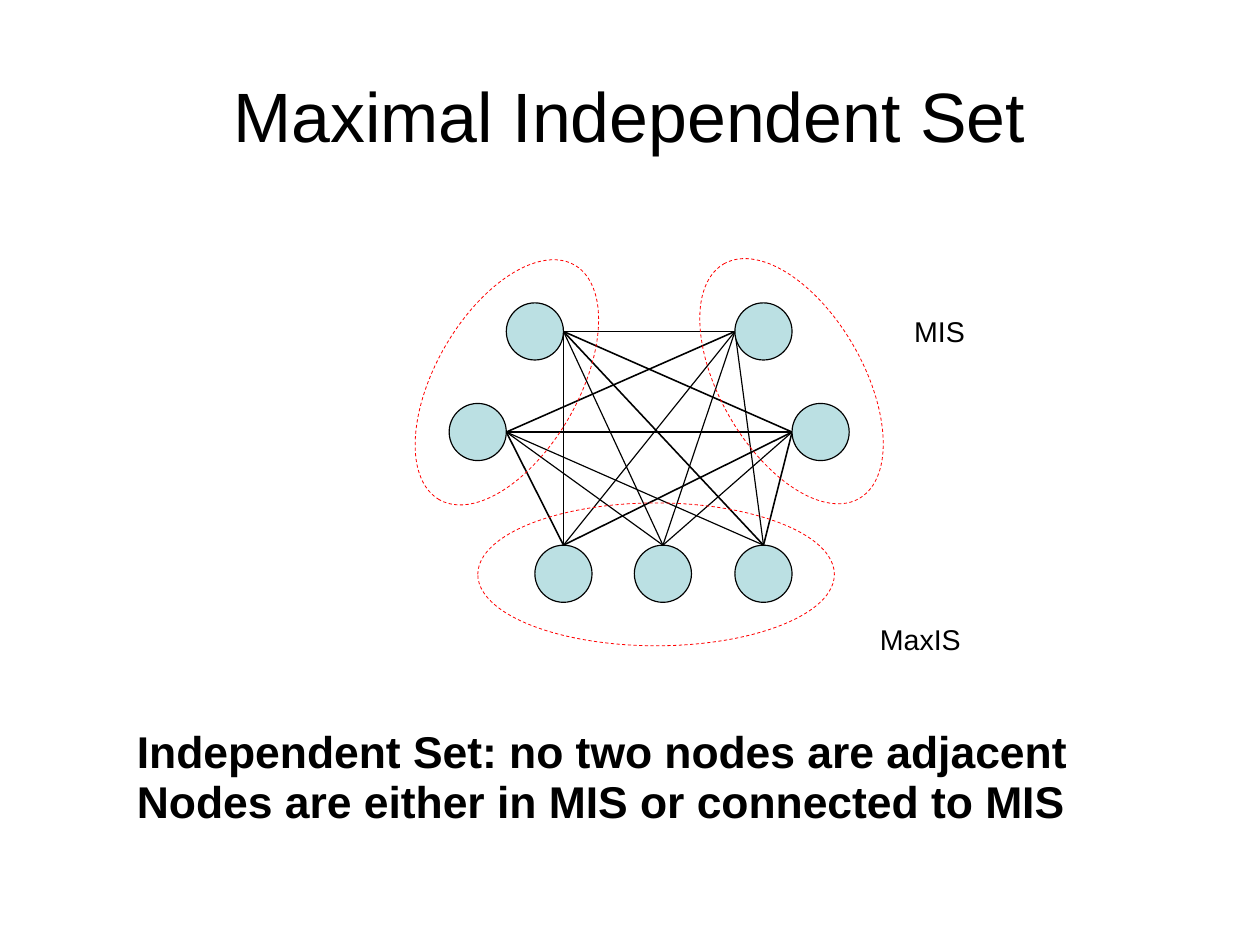
from itertools import combinations, product

from lxml import etree
from pptx import Presentation
from pptx.dml.color import RGBColor
from pptx.enum import dml, shapes, text
from pptx.oxml import ns
from pptx.util import Inches, Pt

BLACK = RGBColor(0, 0, 0)
RED = RGBColor(0xFF, 0, 0)
TEAL = RGBColor(0xBB, 0xE0, 0xE3)

CM = 1 / 2.54
SIZE = 0.5
LEFT = {"upper left": (4.43, 2.65), "lower left": (3.93, 3.53)}
RIGHT = {"upper right": (6.43, 2.65), "lower right": (6.93, 3.53)}
BASE = {"first": (4.68, 4.77), "second": (5.55, 4.77), "third": (6.43, 4.77)}
HEAVY = {
    *product(LEFT, RIGHT),
    ("lower left", "first"),
    ("upper left", "third"),
    ("lower right", "first"),
    ("lower right", "third"),
}
RINGS = [
    (3.25, 2.72, 2.37, 1.25, 300),
    (5.74, 2.71, 2.37, 1.25, 60),
    (4.18, 4.4, 3.12, 1.25, 0),
]


def add_oval(slide, x, y, w, h):
    oval = slide.shapes.add_shape(
        shapes.MSO_SHAPE.OVAL, Inches(x), Inches(y), Inches(w), Inches(h))
    oval.shadow.inherit = False
    return oval


def add_node(slide, x, y):
    node = add_oval(slide, x, y, SIZE, SIZE)
    node.fill.solid()
    node.fill.fore_color.rgb = TEAL
    node.line.color.rgb = BLACK
    node.line.width = Pt(0.75)


def add_ring(slide, x, y, w, h, turn):
    ring = add_oval(slide, x, y, w, h)
    ring.rotation = turn
    ring.fill.background()
    ring.line.color.rgb = RED
    ring.line.width = Pt(0.5)
    ring.line.dash_style = dml.MSO_LINE.DASH


def find_ports():
    half = SIZE / 2
    ports = {name: (x + SIZE, y + half) for name, (x, y) in LEFT.items()}
    ports.update({name: (x, y + half) for name, (x, y) in RIGHT.items()})
    ports.update({name: (x + half, y) for name, (x, y) in BASE.items()})
    return ports


def add_edge(slide, start, end, width):
    edge = slide.shapes.add_connector(
        shapes.MSO_CONNECTOR.STRAIGHT, *map(Inches, start + end))
    edge.line.color.rgb = BLACK
    edge.line.width = Pt(width)
    props = edge.element.find(ns.qn("p:spPr"))
    etree.SubElement(props, ns.qn("a:effectLst"))


def style_text(frame, size, bold=False):
    frame.word_wrap = True
    frame.auto_size = text.MSO_AUTO_SIZE.NONE
    for para in frame.paragraphs:
        para.line_spacing = 0.93
        for run in para.runs:
            run.font.name = "Arial"
            run.font.size = Pt(size)
            run.font.bold = bold
            run.font.color.rgb = BLACK


def add_title(slide, words):
    title = slide.shapes.title
    title.left, title.top = Inches(0.55), Inches(0.33)
    title.width, title.height = Inches(9.92), Inches(1.38)
    frame = title.text_frame
    frame.text = words
    frame.margin_left = frame.margin_right = frame.margin_bottom = 0
    frame.margin_top = Inches(0.04)
    frame.vertical_anchor = text.MSO_ANCHOR.MIDDLE
    frame.paragraphs[0].alignment = text.PP_ALIGN.CENTER
    style_text(frame, 44)


def add_label(slide, words, x, y, w, h, size, inset, bold=False):
    box = slide.shapes.add_textbox(Inches(x), Inches(y), Inches(w), Inches(h))
    frame = box.text_frame
    frame.text = words
    frame.margin_top = Inches(inset)
    style_text(frame, size, bold)


def main():
    deck = Presentation()
    deck.slide_width = Inches(28 * CM)
    deck.slide_height = Inches(21 * CM)
    slide = deck.slides.add_slide(deck.slide_layouts[5])
    add_title(slide, "Maximal Independent Set")

    ports = find_ports()
    for one, two in combinations((LEFT, RIGHT, BASE), 2):
        for pair in product(one, two):
            start, end = (ports[name] for name in pair)
            add_edge(slide, start, end, 1 if pair in HEAVY else 0.75)
    for group in (LEFT, RIGHT, BASE):
        for x, y in group.values():
            add_node(slide, x, y)
    for ring in RINGS:
        add_ring(slide, *ring)

    add_label(slide, "MIS", 7.9, 2.7, 2.1, 0.38, 18, 0.07)
    add_label(slide, "MaxIS", 7.6, 5.4, 2.1, 0.38, 18, 0.07)
    add_label(slide, "Independent Set: no two nodes are adjacent\n"
              "Nodes are either in MIS or connected to MIS",
              1.1, 6.3, 8.9, 0.97, 28, 0.08, bold=True)
    deck.save("out.pptx")


if __name__ == "__main__":
    main()
